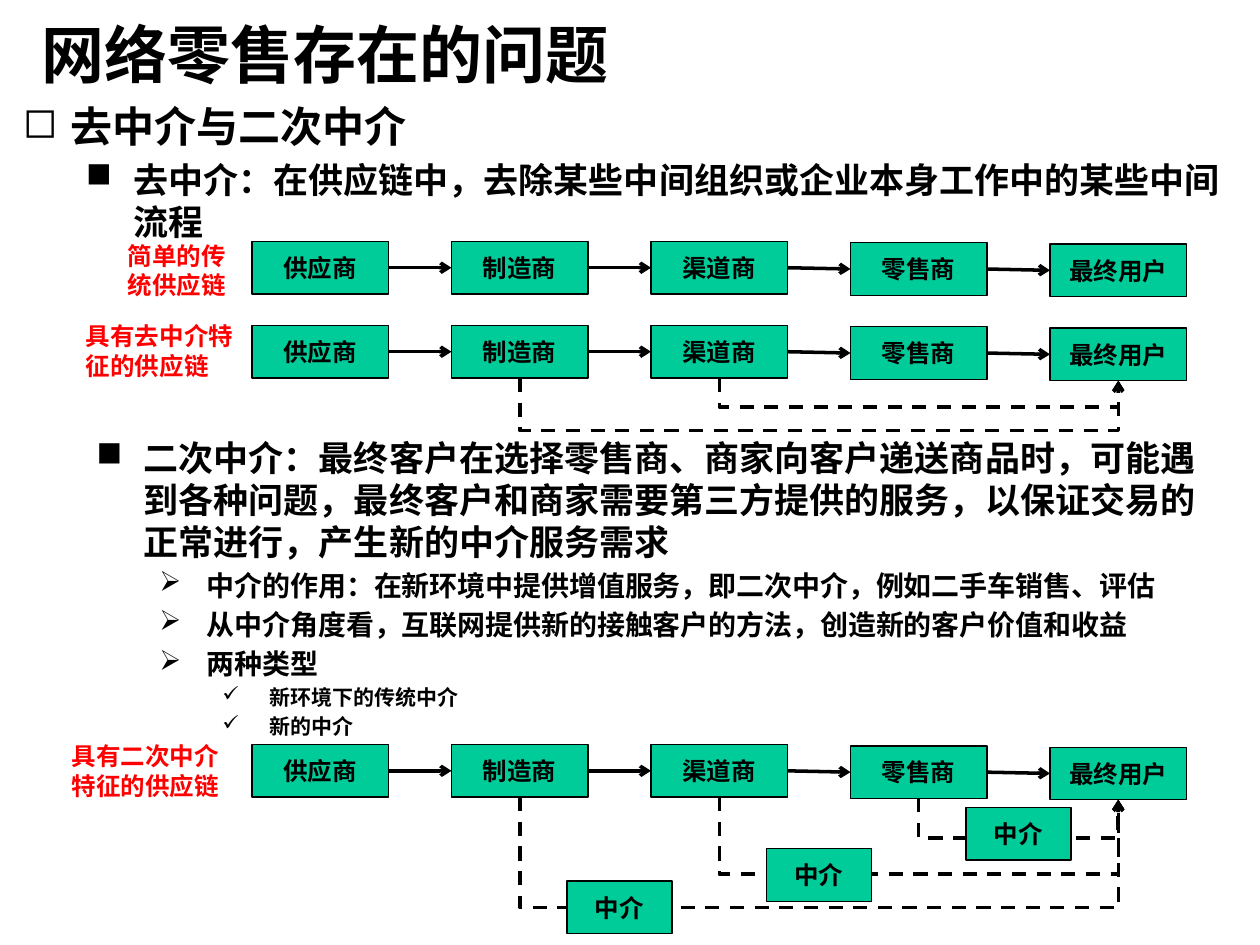
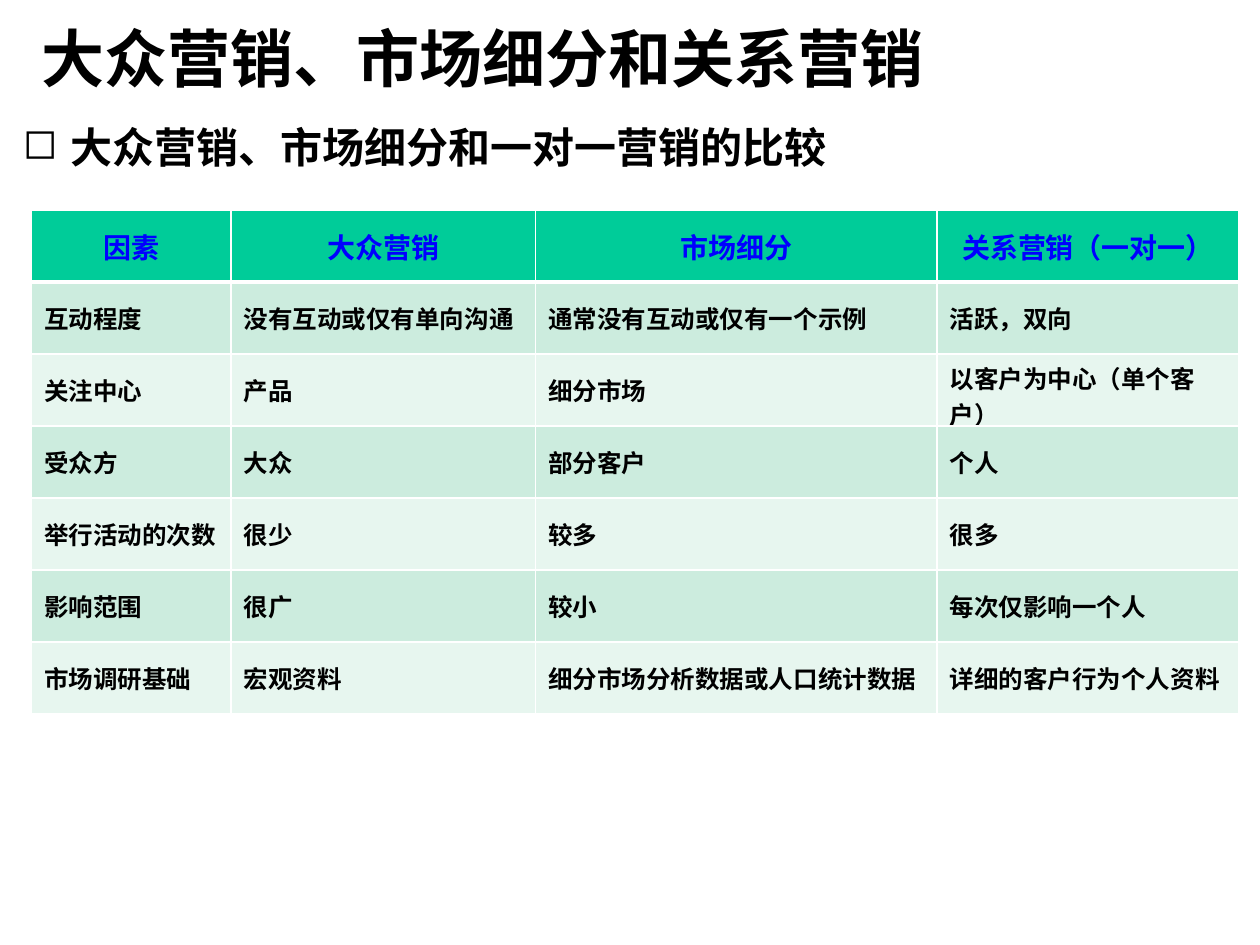
from lxml import etree
from pptx import Presentation
from pptx.dml.color import RGBColor
from pptx.enum import dml, shapes, text
from pptx.oxml import ns
from pptx.util import Pt

HUES = {"ink": "000000", "box": "00CC99", "note": "FF0000", "head": "0000FF",
        "dark": "CCECDE", "pale": "E7F6EF", "rule": "FFFFFF"}
MARKS = "◻■➢✓"
SIZES = (24, 20, 16, 12)
CHAIN = ("供应商", "制造商", "渠道商", "零售商", "最终用户")
STEP, WIDE, HIGH = 114, 78, 30
DRIFT = (0, 0, 0, 0.75, 1.5)


def hue(name):
    """Return a named colour."""
    return RGBColor.from_string(HUES[name])


def sub(node, tag, **attrs):
    """Append a DrawingML child with attributes."""
    return etree.SubElement(node, ns.qn("a:" + tag), attrs)


def style(para, size, face="Lato", ink="ink"):
    """Set the font of a paragraph."""
    font = para.font
    font.size, font.name, font.bold = Pt(size), face, True
    font.color.rgb = hue(ink)


def area(slide, box):
    """Add a wrapping text box and return its frame."""
    frame = slide.shapes.add_textbox(*map(Pt, box)).text_frame
    frame.word_wrap = True
    return frame


def title(slide, box, words):
    """Write the slide title."""
    frame = area(slide, box)
    frame.vertical_anchor = text.MSO_ANCHOR.MIDDLE
    frame.text = words
    style(frame.paragraphs[0], 36, "Arial")


def outline(slide, box, items):
    """Write bulleted paragraphs from (level, words) pairs."""
    frame = area(slide, box)
    for n, (level, words) in enumerate(items):
        para = frame.add_paragraph() if n else frame.paragraphs[0]
        para.text = words
        para.space_before = Pt(SIZES[level] * 0.2)
        style(para, SIZES[level], "Arial")
        props = para._p.get_or_add_pPr()
        props.set("marL", str(Pt(27 + 36 * level)))
        props.set("indent", str(Pt(-27)))
        mark = etree.Element(ns.qn("a:buChar"), char=MARKS[level])
        props.find(ns.qn("a:defRPr")).addprevious(mark)


def label(slide, box, words):
    """Write a red caption beside a chain."""
    frame = area(slide, box)
    frame.text = words
    style(frame.paragraphs[0], 14, ink="note")


def node(slide, box, words):
    """Draw a green box with centred words."""
    shape = slide.shapes.add_shape(shapes.MSO_SHAPE.RECTANGLE, *map(Pt, box))
    shape.shadow.inherit = False
    shape.fill.solid()
    shape.fill.fore_color.rgb = hue("box")
    shape.line.color.rgb = hue("ink")
    shape.line.width = Pt(0.75)
    frame = shape.text_frame
    frame.vertical_anchor = text.MSO_ANCHOR.MIDDLE
    frame.text = words
    para = frame.paragraphs[0]
    para.alignment = text.PP_ALIGN.CENTER
    style(para, 14)


def arrow(slide, kind, ends, dash=False):
    """Draw a black line with an arrowhead at its end."""
    link = slide.shapes.add_connector(kind, *map(Pt, ends))
    link.line.color.rgb = hue("ink")
    link.line.width = Pt(2)
    if dash:
        link.line.dash_style = dml.MSO_LINE.DASH
    sub(link.line._get_or_add_ln(), "tailEnd", type="arrow")
    sub(link._element.spPr, "effectLst")
    return link


def detour(slide, left, top, start, depth):
    """Run a dashed elbow below the chain from one box to the last."""
    x, end = (left + STEP * i + WIDE / 2 for i in (start, 4))
    y, drop = top + HIGH + DRIFT[start], DRIFT[4] - DRIFT[start]
    mid, level, half = (x + end) / 2, y + drop / 2, (end - x) / 2
    link = arrow(slide, shapes.MSO_CONNECTOR.ELBOW,
                 (mid + drop / 2, level - half, mid - drop / 2, level + half), True)
    props = link._element.spPr
    props.find(ns.qn("a:xfrm")).set("rot", str(270 * 60000))
    geom = props.find(ns.qn("a:prstGeom"))
    guides = geom.find(ns.qn("a:avLst"))
    if guides is None:
        guides = sub(geom, "avLst")
    sub(guides, "gd", name="adj1", fmla=f"val {round(depth / drop * 100000)}")


def chain(slide, left, top, detours=()):
    """Draw the supply chain with its arrows and detours."""
    for i, words in enumerate(CHAIN):
        node(slide, (left + STEP * i, top + DRIFT[i], WIDE, HIGH), words)
    for i in range(len(CHAIN) - 1):
        x, y = left + STEP * i + WIDE, top + HIGH / 2
        arrow(slide, shapes.MSO_CONNECTOR.STRAIGHT,
              (x, y + DRIFT[i], x + STEP - WIDE, y + DRIFT[i + 1]))
    for start, depth in detours:
        detour(slide, left, top, start, depth)


def grid(slide, box, widths, rows):
    """Fill a banded table with white rules."""
    table = slide.shapes.add_table(len(rows), len(widths), *map(Pt, box)).table
    for col, width in zip(table.columns, widths):
        col.width = Pt(width)
    for r, row in enumerate(rows):
        table.rows[r].height = Pt(box[3] / len(rows))
        for c, words in enumerate(row):
            cell = table.cell(r, c)
            cell.text = words
            cell.vertical_anchor = text.MSO_ANCHOR.MIDDLE
            para = cell.text_frame.paragraphs[0]
            if r == 0:
                para.alignment = text.PP_ALIGN.CENTER
            style(para, 14 if r else 16, ink="ink" if r else "head")
            props = cell._tc.get_or_add_tcPr()
            for side in "LRTB":
                thick = 3 if (r, side) in ((0, "B"), (1, "T")) else 1
                edge = sub(props, "ln" + side, w=str(Pt(thick)))
                sub(sub(edge, "solidFill"), "srgbClr", val=HUES["rule"])
            cell.fill.solid()
            tone = ("dark" if r % 2 else "pale") if r else "box"
            cell.fill.fore_color.rgb = hue(tone)


def issues(slide):
    """Build the slide on the problems of online retail."""
    title(slide, (16.5, 6, 674, 49), "网络零售存在的问题")
    outline(slide, (6, 54, 708, 114), (
        (0, "去中介与二次中介"),
        (1, "去中介：在供应链中，去除某些中间组织或企业本身工作中的某些中间流程")))
    chain(slide, 144, 138)
    chain(slide, 144, 186, ((2, 16.5), (1, 30)))
    label(slide, (66, 134, 75, 41), "简单的传统供应链")
    label(slide, (42, 180, 102, 41), "具有去中介特征的供应链")
    outline(slide, (12, 246, 696, 186), (
        (1, "二次中介：最终客户在选择零售商、商家向客户递送商品时，可能遇到各种问题，"
            "最终客户和商家需要第三方提供的服务，以保证交易的正常进行，产生新的中介服务需求"),
        (2, "中介的作用：在新环境中提供增值服务，即二次中介，例如二手车销售、评估"),
        (2, "从中介角度看，互联网提供新的接触客户的方法，创造新的客户价值和收益"),
        (2, "两种类型"),
        (3, "新环境下的传统中介"),
        (3, "新的中介")))
    chain(slide, 144, 425.5, ((2, 44), (1, 63), (3, 23)))
    label(slide, (34, 420, 100, 41), "具有二次中介特征的供应链")
    for x, y in ((324, 503.5), (438, 485), (552, 461.5)):
        node(slide, (x, y, 60, HIGH), "中介")


def compare(slide):
    """Build the slide that compares kinds of marketing."""
    title(slide, (16.5, 6, 698, 54), "大众营销、市场细分和关系营销")
    outline(slide, (6, 66, 708, 42), ((0, "大众营销、市场细分和一对一营销的比较"),))
    grid(slide, (18, 120, 690, 288), (114, 174, 229.5, 172.5), (
        ("因素", "大众营销", "市场细分", "关系营销（一对一）"),
        ("互动程度", "没有互动或仅有单向沟通", "通常没有互动或仅有一个示例", "活跃，双向"),
        ("关注中心", "产品", "细分市场", "以客户为中心（单个客户）"),
        ("受众方", "大众", "部分客户", "个人"),
        ("举行活动的次数", "很少", "较多", "很多"),
        ("影响范围", "很广", "较小", "每次仅影响一个人"),
        ("市场调研基础", "宏观资料", "细分市场分析数据或人口统计数据", "详细的客户行为个人资料")))


deck = Presentation()
deck.slide_width, deck.slide_height = Pt(720), Pt(540)
for build in (issues, compare):
    build(deck.slides.add_slide(deck.slide_layouts[6]))
deck.save("out.pptx")
